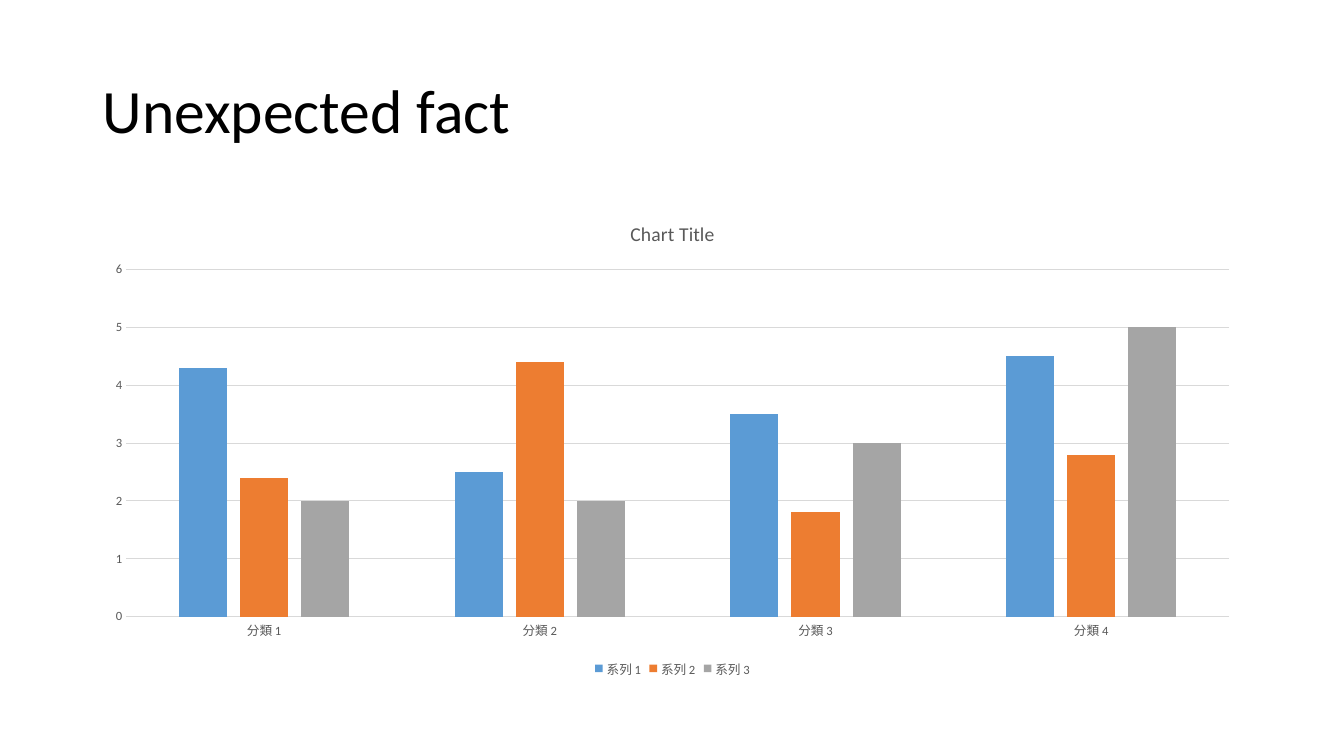
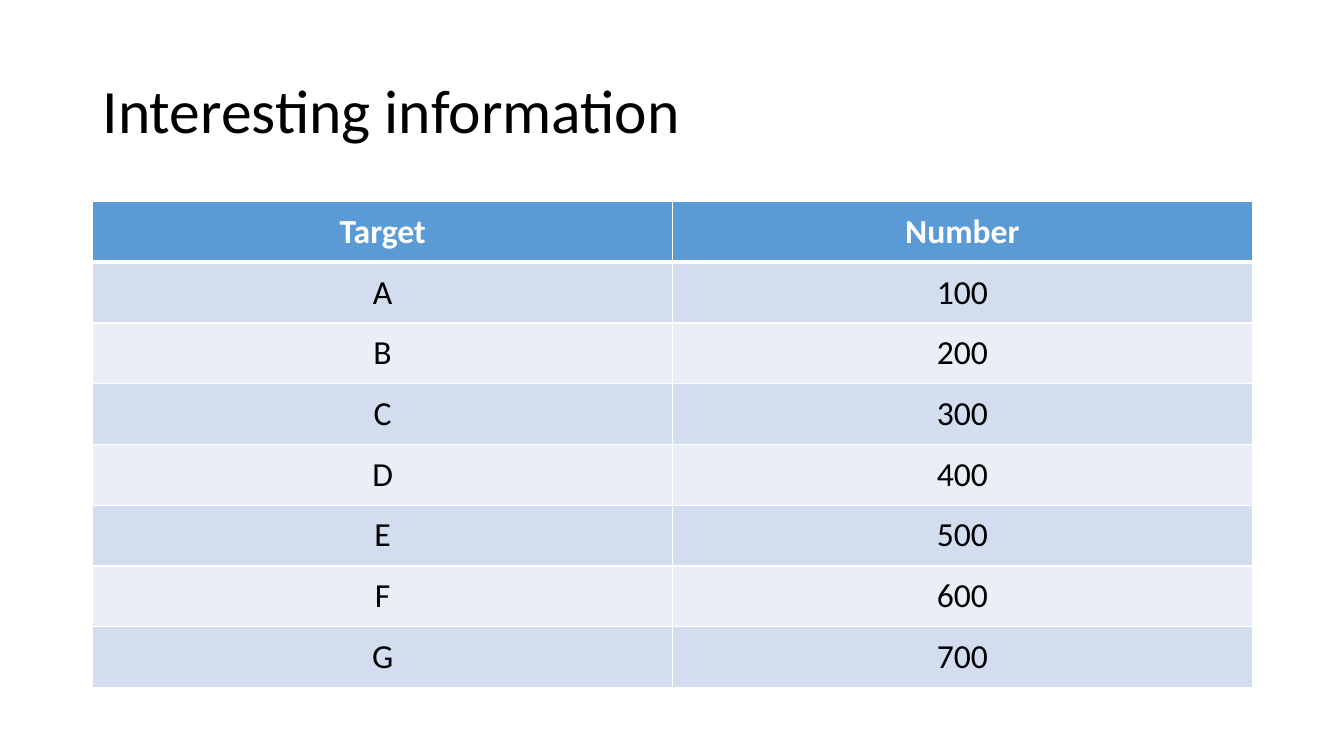
import pptx
import pptx.chart.data
import pptx.dml.color
import pptx.enum.chart
import pptx.enum.text
import pptx.oxml
import pptx.oxml.ns
import pptx.util
from pptx.util import Inches

FONT = "Calibri"
COLORS = {
    "text": "000000", "white": "FFFFFF", "muted": "595959", "rule": "D9D9D9",
    "blue": "5B9BD5", "orange": "ED7D31", "gray": "A5A5A5",
    "band_dark": "D2DEEF", "band_light": "EAEFF7",
}
TITLE_BOX = (Inches(0.92), Inches(0.4), Inches(11.5), Inches(1.45))
CHART_BOX = (Inches(0.92), Inches(2), Inches(11.5), Inches(4.76))
TABLE_BOX = (Inches(0.92), Inches(2), Inches(11.5), Inches(4.82))


def rgb(name):
    """Return the named colour."""
    return pptx.dml.color.RGBColor.from_string(COLORS[name])


def set_font(font, size, color, bold=False):
    """Apply the deck's typeface with a size, colour and weight."""
    font.name = FONT
    font.size = pptx.util.Pt(size)
    font.bold = bold
    font.color.rgb = rgb(color)


def add_page(deck, title):
    """Add a blank page with the shared title style."""
    page = deck.slides.add_slide(deck.slide_layouts[6])
    frame = page.shapes.add_textbox(*TITLE_BOX).text_frame
    frame.word_wrap = True
    frame.vertical_anchor = pptx.enum.text.MSO_ANCHOR.MIDDLE
    para = frame.paragraphs[0]
    para.text = title
    para.line_spacing = 0.9
    set_font(para.font, 44, "text")
    return page


def style_axis(axis):
    """Give an axis small muted labels and no tick marks."""
    axis.major_tick_mark = pptx.enum.chart.XL_TICK_MARK.NONE
    axis.minor_tick_mark = pptx.enum.chart.XL_TICK_MARK.NONE
    set_font(axis.tick_labels.font, 9, "muted")


def add_column_chart(page, box, title, categories, series):
    """Draw a clustered column chart; series holds name, colour and values."""
    data = pptx.chart.data.CategoryChartData()
    data.categories = categories
    for name, _, values in series:
        data.add_series(name, values)
    kind = pptx.enum.chart.XL_CHART_TYPE.COLUMN_CLUSTERED
    chart = page.shapes.add_chart(kind, *box, data).chart
    set_font(chart.font, 10, "text")

    chart.has_title = True
    heading = chart.chart_title.text_frame.paragraphs[0]
    heading.text = title
    set_font(heading.font, 14, "muted")
    chart.chart_title.include_in_layout = False

    chart.has_legend = True
    chart.legend.position = pptx.enum.chart.XL_LEGEND_POSITION.BOTTOM
    chart.legend.include_in_layout = False
    set_font(chart.legend.font, 9, "muted")

    style_axis(chart.category_axis)
    style_axis(chart.value_axis)
    chart.value_axis.format.line.fill.background()
    chart.value_axis.has_major_gridlines = True
    gridlines = chart.value_axis.major_gridlines
    for line in (chart.category_axis.format.line, gridlines.format.line):
        line.color.rgb = rgb("rule")
        line.width = pptx.util.Pt(0.75)

    plot = chart.plots[0]
    plot.gap_width = 219
    plot.overlap = -27
    plot.vary_by_categories = False
    for columns, (_, color, _) in zip(plot.series, series):
        columns.format.fill.solid()
        columns.format.fill.fore_color.rgb = rgb(color)


def set_borders(cell, widths):
    """Draw white cell borders; widths maps side tags to points."""
    properties = cell._tc.get_or_add_tcPr()
    for side, width in widths.items():
        properties.append(pptx.oxml.parse_xml(
            f'<a:{side} {pptx.oxml.ns.nsdecls("a")} w="{pptx.util.Pt(width)}">'
            f'<a:solidFill><a:srgbClr val="{COLORS["white"]}"/></a:solidFill>'
            f'</a:{side}>'))


def add_banded_table(page, box, rows):
    """Fill the box with equal rows and columns under a header row."""
    table = page.shapes.add_table(len(rows), len(rows[0]), *box).table
    for row_index, values in enumerate(rows):
        header = row_index == 0
        band = "band_dark" if row_index % 2 else "band_light"
        for column_index, value in enumerate(values):
            cell = table.cell(row_index, column_index)
            set_borders(cell, {"lnL": 1, "lnR": 1,
                               "lnT": 3 if row_index == 1 else 1,
                               "lnB": 3 if header else 1})
            cell.fill.solid()
            cell.fill.fore_color.rgb = rgb("blue" if header else band)
            cell.vertical_anchor = pptx.enum.text.MSO_ANCHOR.MIDDLE
            para = cell.text_frame.paragraphs[0]
            para.text = value
            para.alignment = pptx.enum.text.PP_ALIGN.CENTER
            set_font(para.font, 24, "white" if header else "text", header)


def build_fact_page(deck):
    """Build the page with the column chart."""
    page = add_page(deck, "Unexpected fact")
    add_column_chart(
        page, CHART_BOX, "Chart Title",
        [f"分類 {number}" for number in range(1, 5)],
        [("系列 1", "blue", (4.3, 2.5, 3.5, 4.5)),
         ("系列 2", "orange", (2.4, 4.4, 1.8, 2.8)),
         ("系列 3", "gray", (2, 2, 3, 5))])


def build_information_page(deck):
    """Build the page with the table of targets."""
    page = add_page(deck, "Interesting information")
    targets = [(letter, str(100 * number))
               for number, letter in enumerate("ABCDEFG", 1)]
    add_banded_table(page, TABLE_BOX, [("Target", "Number"), *targets])


deck = pptx.Presentation()
deck.slide_width = Inches(13.33)
deck.slide_height = Inches(7.5)
build_fact_page(deck)
build_information_page(deck)
deck.save("out.pptx")
